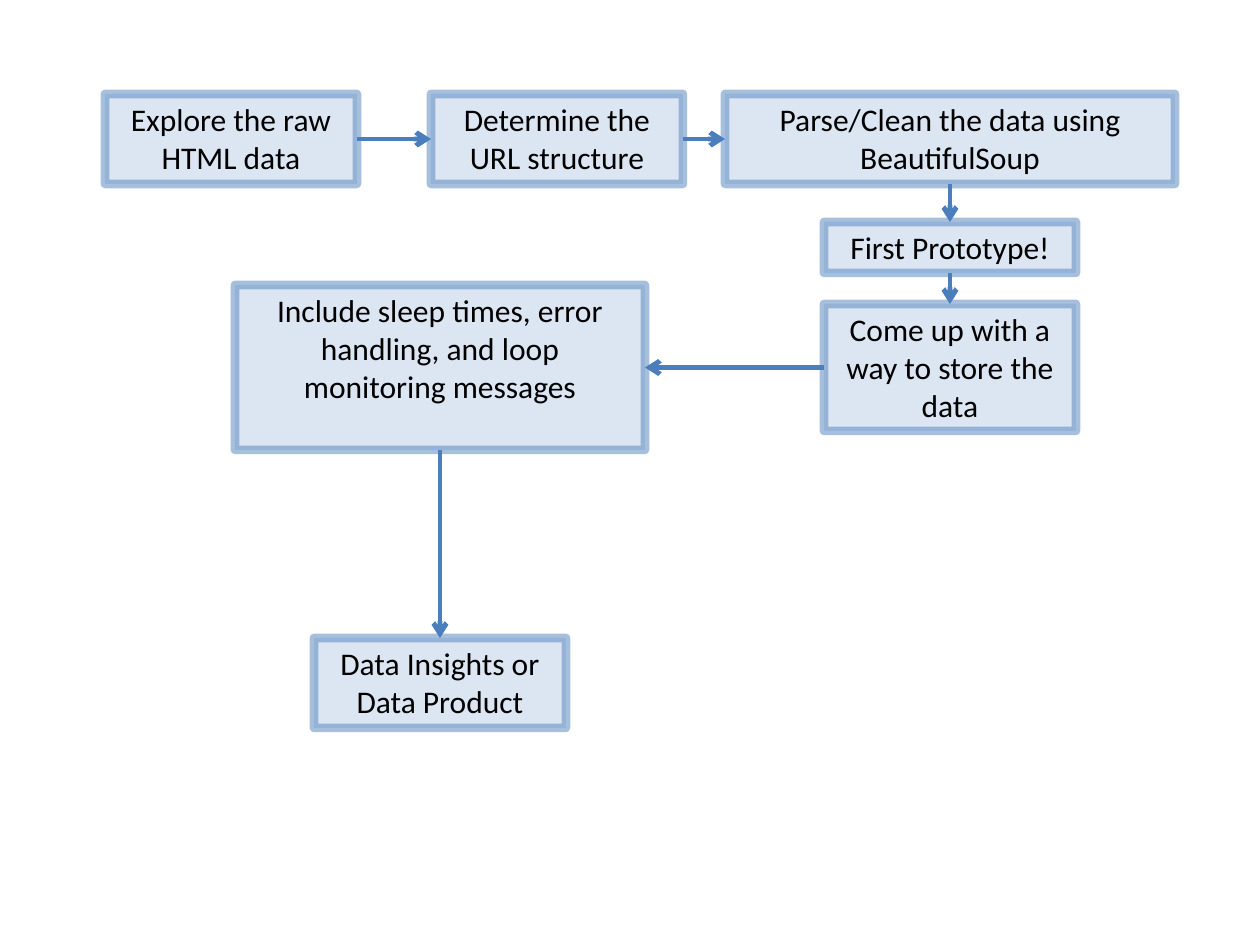
from pptx import Presentation
from pptx.dml.color import RGBColor
from pptx.enum.shapes import MSO_CONNECTOR
from pptx.enum.text import MSO_ANCHOR, MSO_AUTO_SIZE, PP_ALIGN
from pptx.oxml.ns import qn
from pptx.util import Emu, Pt
from lxml import etree

STRAIGHT = MSO_CONNECTOR.STRAIGHT
TOP_ANCHOR = MSO_ANCHOR.TOP
NO_AUTOFIT = MSO_AUTO_SIZE.NONE
CENTER = PP_ALIGN.CENTER

EMU_PER_PIXEL = 914400 / 126
BLANK_LAYOUT = 6
TOP, LEFT, BOTTOM, RIGHT = range(4)  # connection sites of a rectangle

STEP_WIDTH = 252
TWO_LINES = 90
FIRST_ROW = 94

# step: left, top, width, height, text
STEPS = {
    "explore": (105, FIRST_ROW, STEP_WIDTH, TWO_LINES, "Explore the raw HTML data"),
    "url": (431, FIRST_ROW, STEP_WIDTH, TWO_LINES, "Determine the URL structure"),
    "parse": (725, FIRST_ROW, 450, TWO_LINES, "Parse/Clean the data using BeautifulSoup"),
    "prototype": (824, 222, STEP_WIDTH, 51, "First Prototype!"),
    "store": (824, 304, STEP_WIDTH, 127, "Come up with a way to store the data"),
    "robust": (235, 285, 410, 165,
               "Include sleep times, error handling, and loop monitoring messages"),
    "insights": (314, 638, STEP_WIDTH, TWO_LINES, "Data Insights or Data Product"),
}

# from step, its side, to step, its side
FLOW = [
    ("explore", RIGHT, "url", LEFT),
    ("url", RIGHT, "parse", LEFT),
    ("parse", BOTTOM, "prototype", TOP),
    ("prototype", BOTTOM, "store", TOP),
    ("store", LEFT, "robust", RIGHT),
    ("robust", BOTTOM, "insights", TOP),
]


def px(pixels):
    """Turn pixels into EMU."""
    return Emu(round(pixels * EMU_PER_PIXEL))


def rgb(value):
    """Turn a hex string into a colour."""
    return RGBColor.from_string(value)


def style_line(line, color, width):
    """Give a line its colour and width, and return its XML element."""
    line.color.rgb = rgb(color)
    line.width = Pt(width)
    return line._get_or_add_ln()


def add_step(slide, left, top, width, height, text):
    """Add one step of the flow as a framed text box."""
    step = slide.shapes.add_textbox(px(left), px(top), px(width), px(height))
    step.fill.solid()
    step.fill.fore_color.rgb = rgb("DCE6F2")
    outline = style_line(step.line, "4F81BD", 5)
    tint = outline.find(".//" + qn("a:srgbClr"))
    etree.SubElement(tint, qn("a:alpha"), val="49000")
    etree.SubElement(outline, qn("a:round"))

    frame = step.text_frame
    frame.word_wrap = True
    frame.auto_size = NO_AUTOFIT
    frame.vertical_anchor = TOP_ANCHOR
    frame.text = text
    paragraph = frame.paragraphs[0]
    paragraph.alignment = CENTER
    paragraph.font.name = "Calibri"
    paragraph.font.size = Pt(18)
    paragraph.font.color.rgb = rgb("000000")
    return step


def add_arrow(slide, source, source_side, target, target_side):
    """Join two steps with an arrow."""
    arrow = slide.shapes.add_connector(STRAIGHT, 0, 0, 0, 0)
    arrow.begin_connect(source, source_side)
    arrow.end_connect(target, target_side)
    outline = style_line(arrow.line, "4B7EBC", 2.75)
    etree.SubElement(outline, qn("a:tailEnd"), type="arrow")
    etree.SubElement(arrow._element.spPr, qn("a:effectLst"))


def main():
    """Build the flow chart and save it."""
    presentation = Presentation()
    presentation.slide_width = px(1260)
    presentation.slide_height = px(945)
    slide = presentation.slides.add_slide(presentation.slide_layouts[BLANK_LAYOUT])

    steps = {key: add_step(slide, *step) for key, step in STEPS.items()}
    for source, source_side, target, target_side in FLOW:
        add_arrow(slide, steps[source], source_side, steps[target], target_side)

    presentation.save("out.pptx")


main()
